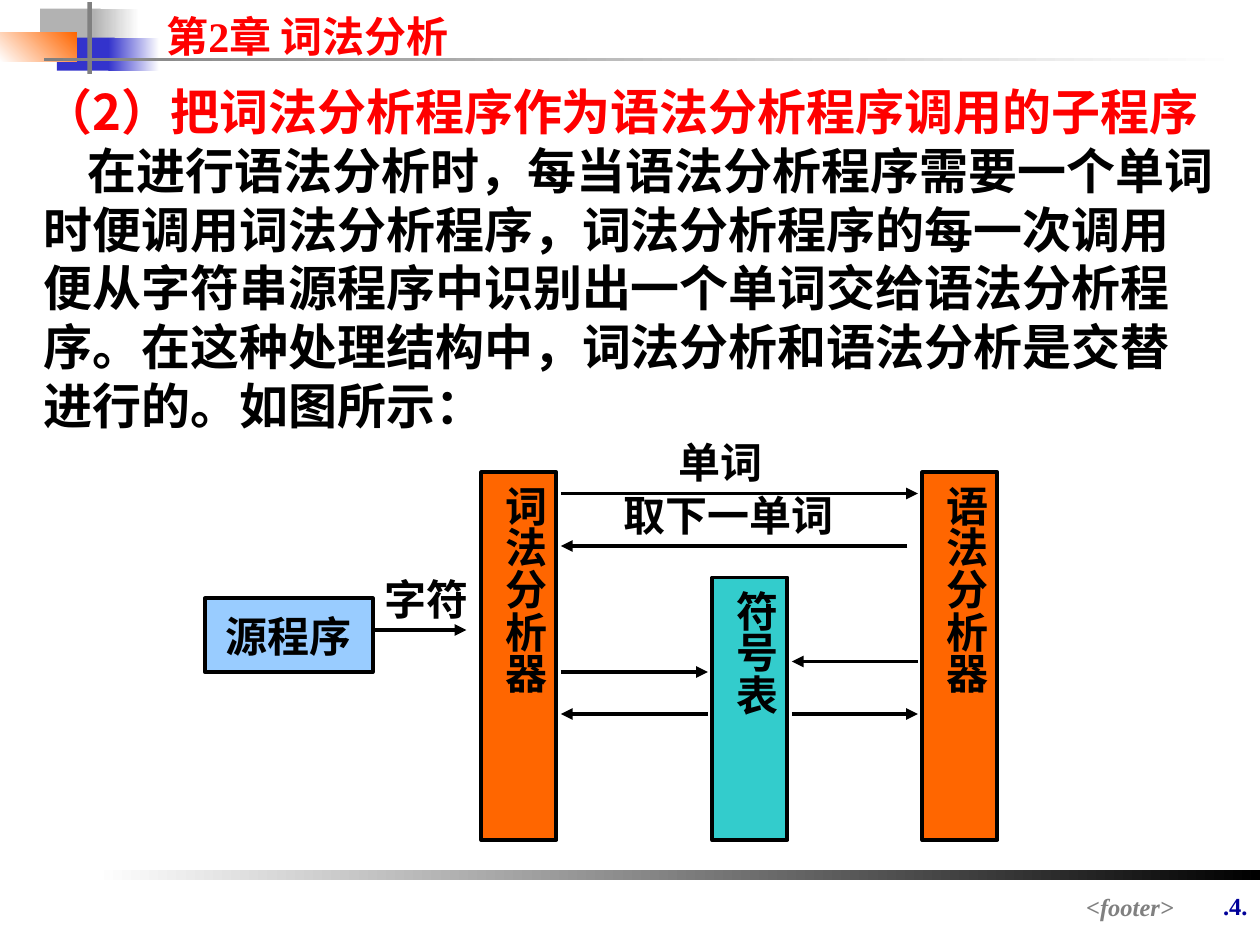
import pptx
import pptx.util
import pptx.dml.color
import pptx.enum.shapes
import pptx.enum.text
import pptx.oxml
import pptx.oxml.ns

Pt = pptx.util.Pt
ALIGN = pptx.enum.text.PP_ALIGN
ANCHOR = pptx.enum.text.MSO_ANCHOR
LATIN, CJK = "Times New Roman", "Noto Sans CJK SC"

COLORS = {
    "white": "FFFFFF", "black": "000000", "silver": "B2B2B2", "gray": "808080",
    "blue": "3333CC", "navy": "000099", "orange": "FF6600", "red": "FF0000",
    "sky": "99CCFF", "teal": "33CCCC",
}

# Header and footer bars: left, top, width, height, colours, gradient angle
BARS = [
    (23, 5, 34.5, 19, ["silver"], 0),
    (53.5, 5, 26, 19, ["silver", "white"], 0),
    (32.5, 21.5, 33, 19, ["blue"], 0),
    (62, 21.5, 29, 19, ["blue", "white"], 0),
    (0, 18.5, 44, 16.5, ["white", "orange"], 45),
    (50, 1.25, 2.5, 41, ["gray"], 0),
    (25, 33, 685, 2, ["gray", "white"], 0),
    (54, 497, 666, 6, ["white", "black"], 0),
]

# Header and footer text: text, box, size, colour, alignment, italic
CAPTIONS = [
    ("第2章 词法分析", (88, 2.5, 227, 36), 24, "red", ALIGN.LEFT, False),
    (".4.", (672, 505.5, 48, 34), 14, "navy", ALIGN.RIGHT, False),
    ("<footer>", (190, 506, 488, 19), 14, "gray", ALIGN.RIGHT, True),
]

# Body paragraphs: text, colour, first-line indent
BODY_BOX = (18, 43, 684, 243)
BODY = [
    ("（2）把词法分析程序作为语法分析程序调用的子程序", "red", 0),
    ("在进行语法分析时，每当语法分析程序需要一个单词时便调用词法分析程序，"
     "词法分析程序的每一次调用便从字符串源程序中识别出一个单词交给语法分析程序。"
     "在这种处理结构中，词法分析和语法分析是交替进行的。如图所示：", "black", 25),
]

# Diagram: upright boxes share width and bottom edge
COLUMN_W, COLUMN_BOTTOM = 43, 480
SOURCE = ("源程序", (117, 342, 96, 42), "sky")
COLUMNS = [  # text, left, top, colour
    ("词法分析器", 275, 270, "orange"),
    ("语法分析器", 527, 270, "orange"),
    ("符号表", 407, 330, "teal"),
]
LABELS = [  # text, left, top, width, alignment
    ("字符", 212.5, 324, 72, ALIGN.LEFT),
    ("单词", 380.5, 246, 72, ALIGN.LEFT),
    ("取下一单词", 344.5, 276, 144, ALIGN.CENTER),
]
ARROWS = [  # start x, end x, y
    (212.5, 266.5, 360),
    (320.5, 524.5, 282),
    (518.5, 320.5, 312),
    (320.5, 404.5, 384),
    (404.5, 320.5, 408),
    (524.5, 452.5, 378),
    (452.5, 524.5, 408),
]

prs = pptx.Presentation()
prs.slide_width, prs.slide_height = Pt(720), Pt(540)
slide = prs.slides.add_slide(prs.slide_layouts[6])


def rgb(name):
    return pptx.dml.color.RGBColor.from_string(COLORS[name])


def add_rect(box, colors, angle=0, line=None):
    s = slide.shapes.add_shape(pptx.enum.shapes.MSO_SHAPE.RECTANGLE, *map(Pt, box))
    s.shadow.inherit = False
    if len(colors) == 1:
        s.fill.solid()
        s.fill.fore_color.rgb = rgb(colors[0])
    else:
        s.fill.gradient()
        s.fill.gradient_angle = angle
        for stop, color in zip(s.fill.gradient_stops, colors):
            stop.color.rgb = rgb(color)
    if line:
        s.line.color.rgb = rgb(line)
        s.line.width = Pt(2.25)
    else:
        s.line.fill.background()
    return s


def add_textbox(box):
    tf = slide.shapes.add_textbox(*map(Pt, box)).text_frame
    tf.word_wrap = True
    return tf


def write(p, text, size=24, color="black", align=ALIGN.CENTER, italic=False, latin=LATIN):
    p.text = text
    p.alignment = align
    font = p.font
    font.size, font.bold, font.italic = Pt(size), True, italic
    font.name = latin
    font.color.rgb = rgb(color)
    props = p._p.pPr.find(pptx.oxml.ns.qn("a:defRPr"))
    ea = pptx.oxml.parse_xml(f'<a:ea {pptx.oxml.ns.nsdecls("a")} typeface="{CJK}"/>')
    props.find(pptx.oxml.ns.qn("a:latin")).addnext(ea)


# Header and footer
for *box, colors, angle in BARS:
    add_rect(box, colors, angle)
for text, box, *style in CAPTIONS:
    write(add_textbox(box).paragraphs[0], text, *style)

# Body text
tf = add_textbox(BODY_BOX)
for i, (text, color, indent) in enumerate(BODY):
    p = tf.add_paragraph() if i else tf.paragraphs[0]
    write(p, text, 28, color, ALIGN.LEFT, latin=CJK)
    p._p.pPr.set("marL", "0")
    p._p.pPr.set("indent", str(Pt(indent)))

# Diagram boxes
text, box, color = SOURCE
tf = add_rect(box, [color], line="black").text_frame
tf.word_wrap = False
tf.vertical_anchor = ANCHOR.MIDDLE
write(tf.paragraphs[0], text)

for text, left, top, color in COLUMNS:
    s = add_rect((left, top, COLUMN_W, COLUMN_BOTTOM - top), [color], line="black")
    tf = s.text_frame
    tf.word_wrap = True
    tf.vertical_anchor = ANCHOR.TOP
    tf.margin_left = tf.margin_right = Pt(3.6)
    tf.margin_top = tf.margin_bottom = Pt(7.2)
    tf._txBody.bodyPr.set("vert", "eaVert")
    write(tf.paragraphs[0], text)

# Arrows and their labels
for x1, x2, y in ARROWS:
    s = slide.shapes.add_connector(pptx.enum.shapes.MSO_CONNECTOR.STRAIGHT,
                                   Pt(x1), Pt(y), Pt(x2), Pt(y))
    s.line.color.rgb = rgb("black")
    s.line.width = Pt(2.25)
    for tag in ('a:tailEnd type="triangle"', "a:effectLst"):
        name, _, attrs = tag.partition(" ")
        part = pptx.oxml.parse_xml(f'<{name} {pptx.oxml.ns.nsdecls("a")} {attrs}/>')
        parent = s.line._get_or_add_ln() if attrs else s._element.spPr
        parent.append(part)

for text, left, top, width, align in LABELS:
    write(add_textbox((left, top, width, 36)).paragraphs[0], text, align=align)

prs.save("out.pptx")
